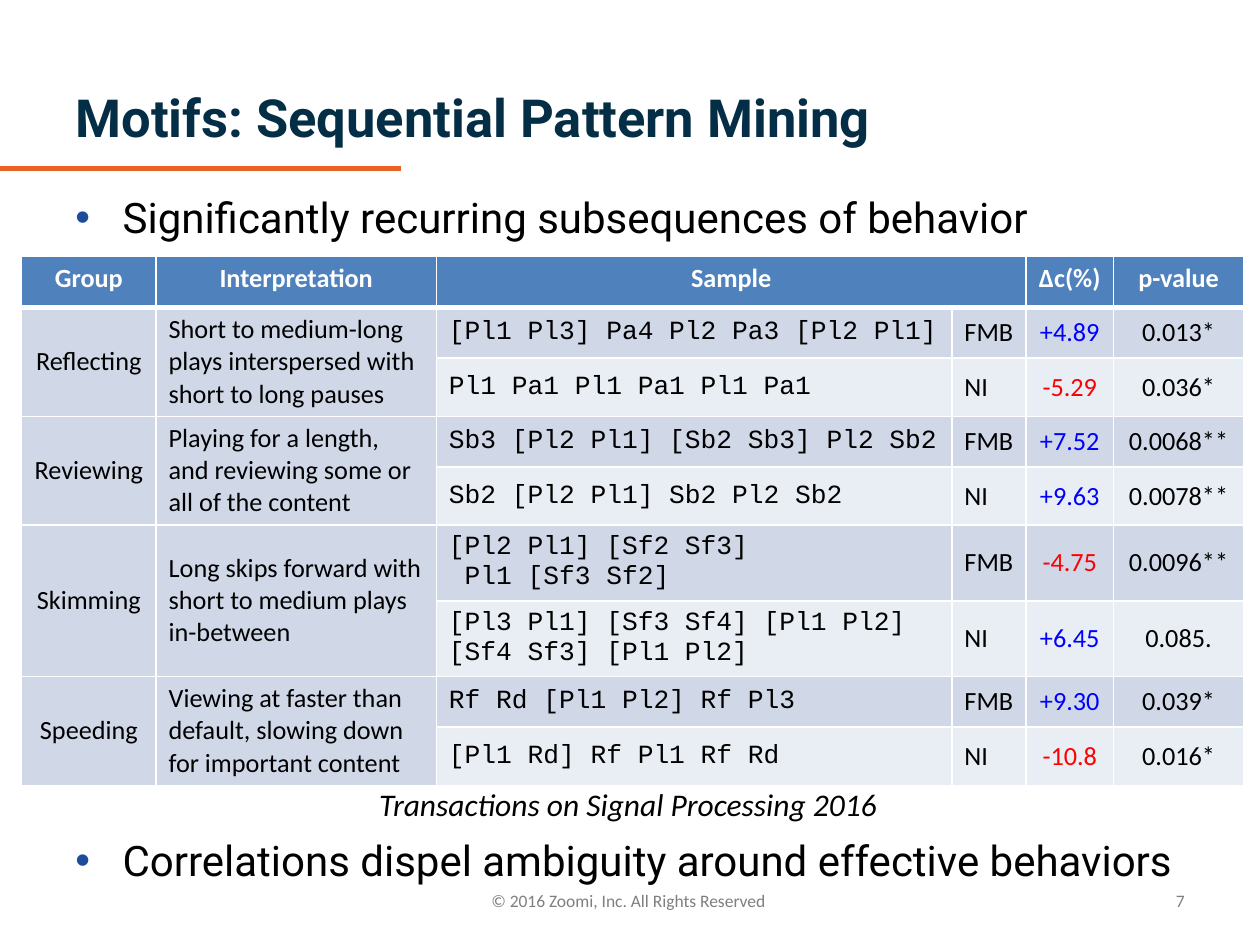
from lxml.etree import SubElement
from pptx import Presentation
from pptx.dml.color import RGBColor as RGB
from pptx.enum.shapes import MSO_CONNECTOR as Connector
from pptx.enum.text import MSO_ANCHOR as Anchor, PP_ALIGN as Align
from pptx.oxml.ns import qn
from pptx.util import Pt

NAVY = RGB(0x03, 0x2E, 0x46)
ORANGE = RGB(0xEB, 0x62, 0x26)
BLACK = RGB(0, 0, 0)
WHITE = RGB(255, 255, 255)
GRAY = RGB(0x7F, 0x7F, 0x7F)
GAIN = RGB(0, 0, 255)
LOSS = RGB(255, 0, 0)
HEADER_FILL = RGB(0x4F, 0x81, 0xBD)
DARK_BAND = RGB(0xD0, 0xD8, 0xE8)
LIGHT_BAND = RGB(0xE9, 0xED, 0xF4)
BULLET = RGB(0x1C, 0x4C, 0x9B)

# Text formats
TITLE = dict(name="Roboto", size=Pt(30), bold=True, color=NAVY)
BODY = dict(name="Roboto", size=Pt(24), color=BLACK)
CAPTION = dict(name="Calibri", size=Pt(18), italic=True, color=BLACK)
FOOTER = dict(name="Calibri", size=Pt(10), color=GRAY)
CELL = dict(name="Calibri", size=Pt(15), bold=False, color=BLACK)
HEADER = dict(CELL, bold=True, color=WHITE)
CODE = dict(CELL, name="Courier New")

# Table content: group, interpretation, then one sample per condition
COLUMN_WIDTHS = [76.8, 160.2, 294.6, 42.4, 50, 74.4]
SHORT_PAIR, TALL_PAIR = [29, 33.2], [41.4, 41.4]
ROW_HEIGHTS = [29.2] + 2 * SHORT_PAIR + TALL_PAIR + SHORT_PAIR
HEADINGS = ["Group", "Interpretation", "Sample", "", "Δc(%)", "p-value"]
GROUPS = [
    ("Reflecting",
     "Short to medium-long plays interspersed with short to long pauses",
     [("[Pl1 Pl3] Pa4 Pl2 Pa3 [Pl2 Pl1]", "FMB", "+4.89", "0.013*"),
      ("Pl1 Pa1 Pl1 Pa1 Pl1 Pa1", "NI", "-5.29", "0.036*")]),
    ("Reviewing",
     "Playing for a length, and reviewing some or all of the content",
     [("Sb3 [Pl2 Pl1] [Sb2 Sb3] Pl2 Sb2", "FMB", "+7.52", "0.0068**"),
      ("Sb2 [Pl2 Pl1] Sb2 Pl2 Sb2", "NI", "+9.63", "0.0078**")]),
    ("Skimming",
     "Long skips forward with short to medium plays in-between",
     [("[Pl2 Pl1] [Sf2 Sf3]\n Pl1 [Sf3 Sf2]", "FMB", "-4.75", "0.0096**"),
      ("[Pl3 Pl1] [Sf3 Sf4] [Pl1 Pl2] [Sf4 Sf3] [Pl1 Pl2]", "NI",
       "+6.45", "0.085.")]),
    ("Speeding",
     "Viewing at faster than default, slowing down for important content",
     [("Rf Rd [Pl1 Pl2] Rf Pl3", "FMB", "+9.30", "0.039*"),
      ("[Pl1 Rd] Rf Pl1 Rf Rd", "NI", "-10.8", "0.016*")]),
]


def format_font(font, look):
    for name, value in look.items():
        if name == "color":
            font.color.rgb = value
        else:
            setattr(font, name, value)


def write(frame, text, look, align=Align.LEFT):
    frame.text = text
    for para in frame.paragraphs:
        para.alignment = align
        for span in para.runs:
            format_font(span.font, look)


def place(shape, left, top, width, height):
    shape.left, shape.top = Pt(left), Pt(top)
    shape.width, shape.height = Pt(width), Pt(height)


def add_text(slide, bounds, text, look, align=Align.LEFT, anchor=Anchor.TOP):
    box = slide.shapes.add_textbox(*map(Pt, bounds))
    box.text_frame.word_wrap = True
    box.text_frame.vertical_anchor = anchor
    write(box.text_frame, text, look, align)
    return box


def add_bullet(slide, bounds, text):
    box = add_text(slide, bounds, text, BODY)
    props = box.text_frame.paragraphs[0]._p.get_or_add_pPr()
    props.set("marL", str(Pt(27)))
    props.set("indent", str(Pt(-27)))
    color = SubElement(props, qn("a:buClr"))
    SubElement(color, qn("a:srgbClr"), val=str(BULLET))
    SubElement(props, qn("a:buFont"), typeface="Arial")
    SubElement(props, qn("a:buChar"), char="•")


def add_rule(slide, start, end):
    rule = slide.shapes.add_connector(Connector.STRAIGHT, *map(Pt, start + end))
    rule.line.color.rgb = ORANGE
    rule.line.width = Pt(3)
    SubElement(rule._element.spPr, qn("a:effectLst"))


def set_borders(cell, bottom):
    props = cell._tc.get_or_add_tcPr()
    for index, (side, width) in enumerate(
            [("lnL", 1), ("lnR", 1), ("lnT", 1), ("lnB", bottom)]):
        line = props.makeelement(qn(f"a:{side}"), {"w": str(Pt(width))})
        fill = SubElement(line, qn("a:solidFill"))
        SubElement(fill, qn("a:srgbClr"), val=str(WHITE))
        props.insert(index, line)


def fill_cell(cell, text, look, fill, align=Align.CENTER, anchor=Anchor.MIDDLE,
              bottom=1):
    cell.fill.solid()
    cell.fill.fore_color.rgb = fill
    cell.vertical_anchor = anchor
    write(cell.text_frame, text, look, align)
    set_borders(cell, bottom)


def add_motif_table(slide, left, top):
    table = slide.shapes.add_table(
        len(ROW_HEIGHTS), len(COLUMN_WIDTHS), Pt(left), Pt(top),
        Pt(sum(COLUMN_WIDTHS)), Pt(sum(ROW_HEIGHTS))).table
    for column, width in zip(table.columns, COLUMN_WIDTHS):
        column.width = Pt(width)
    for row, height in zip(table.rows, ROW_HEIGHTS):
        row.height = Pt(height)

    # Header row
    for column, heading in enumerate(HEADINGS):
        fill_cell(table.cell(0, column), heading, HEADER, HEADER_FILL,
                  anchor=Anchor.TOP, bottom=3)
    table.cell(0, 2).merge(table.cell(0, 3))

    # Two sample rows per group
    for number, (group, meaning, samples) in enumerate(GROUPS):
        first = 1 + 2 * number
        for offset, (sample, condition, change, p_value) in enumerate(samples):
            band = (DARK_BAND, LIGHT_BAND)[offset]
            trend = dict(CELL, color=GAIN if change.startswith("+") else LOSS)
            cells = [(group if offset == 0 else "", CELL, DARK_BAND),
                     (meaning if offset == 0 else "", CELL, DARK_BAND, Align.LEFT),
                     (sample, CODE, band, Align.LEFT),
                     (condition, CELL, band, Align.LEFT),
                     (change, trend, band),
                     (p_value, CELL, band)]
            for column, content in enumerate(cells):
                fill_cell(table.cell(first + offset, column), *content)
        for column in (0, 1):
            table.cell(first, column).merge(table.cell(first + 1, column))


def main():
    deck = Presentation()
    deck.slide_width, deck.slide_height = Pt(720), Pt(540)
    slide = deck.slides.add_slide(deck.slide_layouts[5])

    # Title and rule
    title = slide.shapes.title
    place(title, 36, 21.6, 648, 90)
    title.text_frame.vertical_anchor = Anchor.MIDDLE
    write(title.text_frame, "Motifs: Sequential Pattern Mining", TITLE)
    add_rule(slide, (0, 96.5), (229, 96.5))

    # Footer
    add_text(slide, (245, 500.4, 228, 28.8),
             "© 2016 Zoomi, Inc. All Rights Reserved", FOOTER,
             Align.CENTER, Anchor.MIDDLE)
    add_text(slide, (442, 500.4, 242, 28.8), "7", FOOTER,
             Align.RIGHT, Anchor.MIDDLE)

    # Content
    add_motif_table(slide, 12.4, 146.5)
    add_bullet(slide, (36, 106, 648, 52),
               "Significantly recurring subsequences of behavior")
    add_text(slide, (182, 445, 354, 29),
             "Transactions on Signal Processing 2016", CAPTION, Align.CENTER)
    add_bullet(slide, (36, 473.3, 648, 40),
               "Correlations dispel ambiguity around effective behaviors")

    deck.save("out.pptx")


if __name__ == "__main__":
    main()
